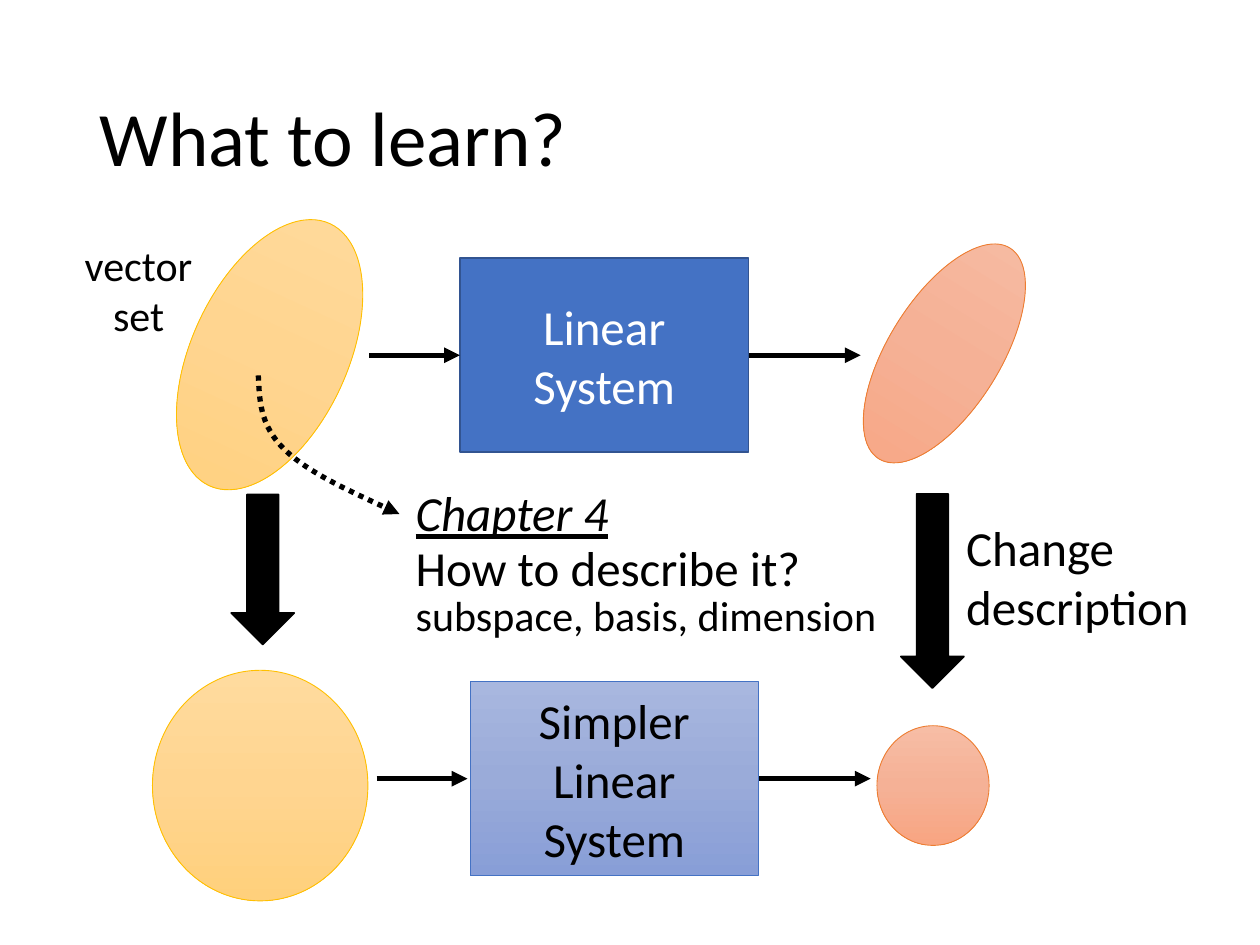
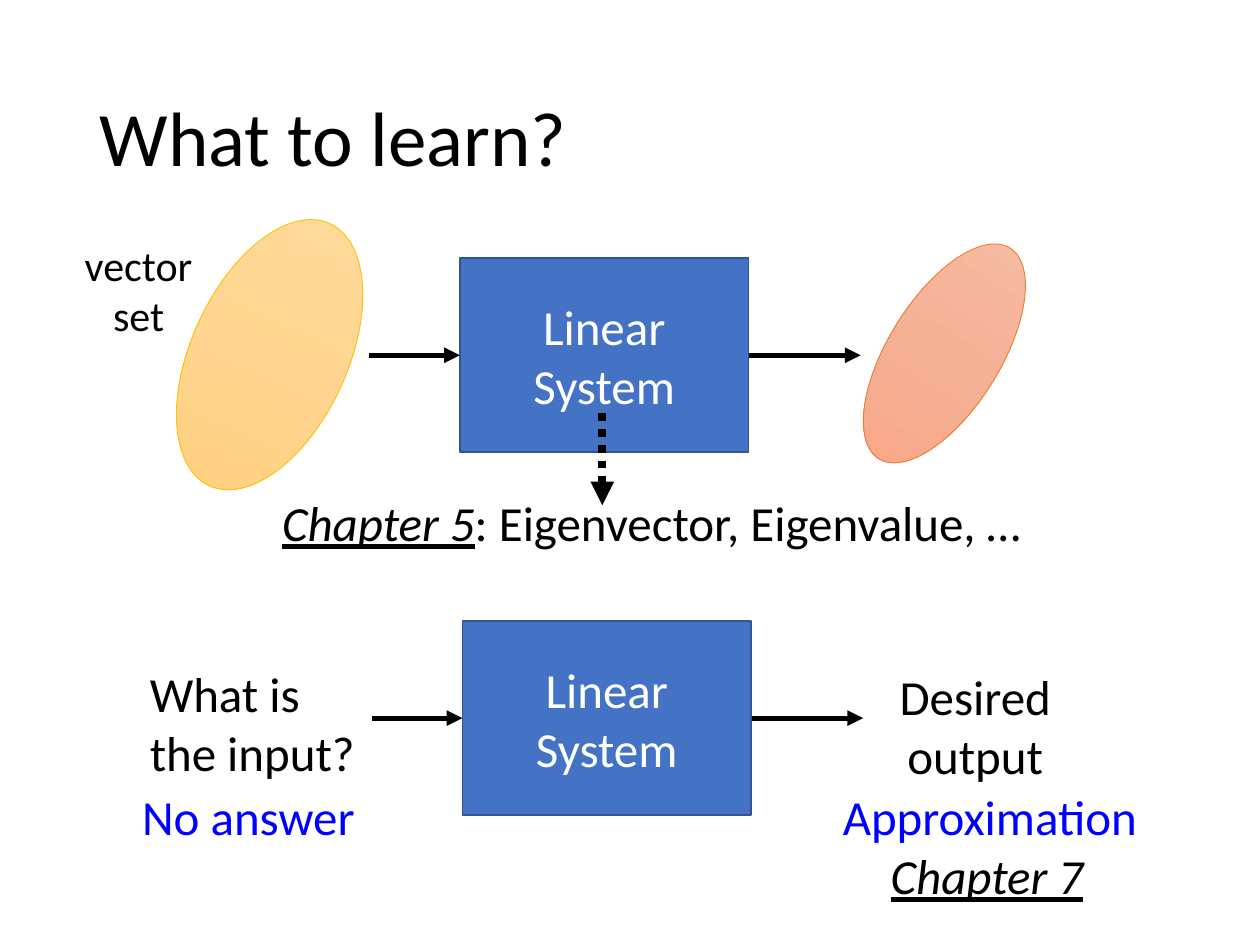
from copy import deepcopy
from dataclasses import dataclass

from lxml.etree import SubElement
from pptx import Presentation
from pptx.dml.color import RGBColor
from pptx.dml.fill import FillFormat
from pptx.dml.line import LineFormat
from pptx.enum.dml import MSO_LINE
from pptx.enum.shapes import MSO_CONNECTOR, MSO_SHAPE
from pptx.enum.text import MSO_ANCHOR, MSO_AUTO_SIZE, PP_ALIGN
from pptx.oxml.ns import qn
from pptx.slide import Slide
from pptx.text.text import Font
from pptx.util import Inches, Pt

FONT = "Calibri"
BLACK = RGBColor(0x00, 0x00, 0x00)
WHITE = RGBColor(0xFF, 0xFF, 0xFF)
ANSWER_BLUE = RGBColor(0x00, 0x00, 0xFF)
SYSTEM_BLUE = RGBColor(0x44, 0x72, 0xC4)
SYSTEM_EDGE = RGBColor(0x32, 0x54, 0x91)
YELLOW_EDGE = RGBColor(0xFF, 0xC0, 0x00)
ORANGE_EDGE = RGBColor(0xED, 0x7D, 0x31)
YELLOW_SHADES = (RGBColor(0xFF, 0xDB, 0x9E), RGBColor(0xFF, 0xD5, 0x90), RGBColor(0xFF, 0xD0, 0x7C))
ORANGE_SHADES = (RGBColor(0xF7, 0xBD, 0xA5), RGBColor(0xF5, 0xB1, 0x96), RGBColor(0xF8, 0xA5, 0x82))
BLUE_SHADES = (RGBColor(0xA8, 0xB7, 0xDF), RGBColor(0x9A, 0xAB, 0xD9), RGBColor(0x88, 0x9E, 0xD7))

BOX_WIDTH, BOX_HEIGHT = 2.29, 1.54
INPUT_LENGTH = 0.72
OUTPUT_START, OUTPUT_END = 2.02, 3.18


@dataclass
class VectorSet:
    """An ellipse that stands for a set of vectors."""
    left: float
    top: float
    width: float
    height: float
    shades: tuple[RGBColor, ...]
    edge: RGBColor
    rotation: float = 0


@dataclass
class System:
    """A system box with an arrow into it and one out of it."""
    left: float
    top: float
    lines: tuple[str, ...] = ("Linear", "System")
    shades: tuple[RGBColor, ...] = (SYSTEM_BLUE,)
    edge: RGBColor = SYSTEM_EDGE
    edge_width: float = 1
    text_color: RGBColor = WHITE
    input_gap: float = 0


@dataclass
class Label:
    """A text box; the chapter reference comes first, in underlined italics."""
    left: float
    top: float
    width: float
    height: float
    text: str = ""
    chapter: str = ""
    size: float = 28
    color: RGBColor = BLACK
    align: PP_ALIGN = PP_ALIGN.LEFT


INPUT_SET = VectorSet(1.52, 1.67, 1.24, 2.29, YELLOW_SHADES, YELLOW_EDGE, 24.7)
OUTPUT_SET = VectorSet(7.05, 1.82, 0.89, 1.97, ORANGE_SHADES, ORANGE_EDGE, 31.9)
SIMPLE_INPUT_SET = VectorSet(1.21, 5.32, 1.71, 1.83, YELLOW_SHADES, YELLOW_EDGE)
SIMPLE_OUTPUT_SET = VectorSet(6.96, 5.76, 0.89, 0.95, ORANGE_SHADES, ORANGE_EDGE)
SIMPLER_SYSTEM = System(3.73, 5.41, ("Simpler", "Linear", "System"), BLUE_SHADES,
                        SYSTEM_BLUE, 0.5, BLACK, 0.02)
DESCRIPTION_LABELS = (
    Label(3.2, 4.22, 3.41, 0.57, "How to describe it?"),
    Label(3.2, 4.63, 3.89, 0.5, "subspace, basis, dimension", size=24),
    Label(3.2, 3.78, 1.8, 0.57, chapter="Chapter 4"),
    Label(7.57, 4.06, 2.23, 1.04, "Change description"),
)
ANSWER_LABELS = (
    Label(2.14, 3.86, 7.01, 0.57, ": Eigenvector, Eigenvalue, …", "Chapter 5"),
    Label(6.97, 6.66, 1.8, 0.57, chapter="Chapter 7"),
    Label(6.65, 5.24, 2.18, 1.04, "Desired output", align=PP_ALIGN.CENTER),
    Label(1.09, 5.22, 1.89, 1.04, "What is the input?"),
    Label(6.59, 6.19, 2.59, 0.57, "Approximation", color=ANSWER_BLUE),
    Label(1.03, 6.19, 2, 0.57, "No answer", color=ANSWER_BLUE),
)


def set_font(font: Font, size: float, color: RGBColor) -> None:
    """Apply the shared typeface with a size and colour."""
    font.name = FONT
    font.size = Pt(size)
    font.color.rgb = color


def set_fill(fill: FillFormat, shades: tuple[RGBColor, ...]) -> None:
    """Fill with one colour, or with three shades from top to bottom."""
    if len(shades) == 1:
        fill.solid()
        fill.fore_color.rgb = shades[0]
        return
    fill.gradient()
    fill.gradient_angle = 270
    first_stop = fill.gradient_stops[0]._gs
    first_stop.addnext(deepcopy(first_stop))
    for index, (stop, shade) in enumerate(zip(fill.gradient_stops, shades)):
        stop.position = index / 2
        stop.color.rgb = shade


def set_line(line: LineFormat, color: RGBColor, width: float) -> None:
    """Give a line its colour and its width in points."""
    line.color.rgb = color
    line.width = Pt(width)


def set_arrow(line: LineFormat, width: float, dotted: bool) -> None:
    """Make a line black, optionally dotted, with an arrowhead at its end."""
    set_line(line, BLACK, width)
    if dotted:
        line.dash_style = MSO_LINE.ROUND_DOT
    SubElement(line._get_or_add_ln(), qn("a:tailEnd"), type="triangle")


def add_arrow(slide: Slide, start: tuple[float, float], end: tuple[float, float],
              width: float = 3, dotted: bool = False) -> None:
    """Draw a straight arrow."""
    points = [Inches(value) for value in (*start, *end)]
    connector = slide.shapes.add_connector(MSO_CONNECTOR.STRAIGHT, *points)
    set_arrow(connector.line, width, dotted)
    SubElement(connector._element.spPr, qn("a:effectLst"))


def add_curved_arrow(slide: Slide, points: list[tuple[float, float]]) -> None:
    """Draw a dotted arrow along Bezier curves: a start, then three points for each curve."""
    start, *others = [(Inches(x), Inches(y)) for x, y in points]
    builder = slide.shapes.build_freeform(*start)
    builder.add_line_segments(others, close=False)
    shape = builder.convert_to_shape()
    outline = next(shape._element.iter(qn("a:path")))
    segments = outline.findall(qn("a:lnTo"))
    for index in range(0, len(segments), 3):
        curve = SubElement(outline, qn("a:cubicBezTo"))
        for segment in segments[index:index + 3]:
            curve.append(segment[0])
            outline.remove(segment)
    shape.fill.background()
    shape.shadow.inherit = False
    set_arrow(shape.line, 3, dotted=True)


def add_block_arrow(slide: Slide, left: float, top: float, length: float) -> None:
    """Draw a thick black arrow that is turned to point down."""
    shape = slide.shapes.add_shape(MSO_SHAPE.RIGHT_ARROW, Inches(left), Inches(top),
                                   Inches(length), Inches(0.5))
    shape.rotation = 90
    shape.shadow.inherit = False
    set_fill(shape.fill, (BLACK,))
    set_line(shape.line, BLACK, 1)


def add_vector_set(slide: Slide, item: VectorSet) -> None:
    """Draw a vector set."""
    shape = slide.shapes.add_shape(MSO_SHAPE.OVAL, Inches(item.left), Inches(item.top),
                                   Inches(item.width), Inches(item.height))
    shape.rotation = item.rotation
    shape.shadow.inherit = False
    set_fill(shape.fill, item.shades)
    set_line(shape.line, item.edge, 0.5)


def add_system(slide: Slide, system: System) -> None:
    """Draw a system box with its input and output arrows."""
    left, middle = system.left, system.top + BOX_HEIGHT / 2
    add_arrow(slide, (left + OUTPUT_START, middle), (left + OUTPUT_END, middle))
    shape = slide.shapes.add_shape(MSO_SHAPE.RECTANGLE, Inches(left), Inches(system.top),
                                   Inches(BOX_WIDTH), Inches(BOX_HEIGHT))
    shape.shadow.inherit = False
    set_fill(shape.fill, system.shades)
    set_line(shape.line, system.edge, system.edge_width)
    frame = shape.text_frame
    frame.text = "\n".join(system.lines)
    frame.vertical_anchor = MSO_ANCHOR.MIDDLE
    for paragraph in frame.paragraphs:
        paragraph.alignment = PP_ALIGN.CENTER
        set_font(paragraph.font, 28, system.text_color)
    input_end = left - system.input_gap
    add_arrow(slide, (input_end - INPUT_LENGTH, middle), (input_end, middle))


def add_label(slide: Slide, label: Label) -> None:
    """Write a label."""
    box = slide.shapes.add_textbox(Inches(label.left), Inches(label.top),
                                   Inches(label.width), Inches(label.height))
    frame = box.text_frame
    frame.word_wrap = True
    frame.auto_size = MSO_AUTO_SIZE.SHAPE_TO_FIT_TEXT
    paragraph = frame.paragraphs[0]
    paragraph.alignment = label.align
    set_font(paragraph.font, label.size, label.color)
    if label.chapter:
        run = paragraph.add_run()
        run.text = label.chapter
        run.font.italic = run.font.underline = True
    if label.text:
        paragraph.add_run().text = label.text


def add_topic_slide(presentation: Presentation) -> Slide:
    """Add a slide with the title and the upper row that all slides share."""
    slide = presentation.slides.add_slide(presentation.slide_layouts.get_by_name("Title Only"))
    title = slide.shapes.title
    title.left, title.top = Inches(0.69), Inches(0.4)
    title.width, title.height = Inches(8.62), Inches(1.45)
    title.text_frame.text = "What to learn?"
    title.text_frame.vertical_anchor = MSO_ANCHOR.MIDDLE
    paragraph = title.text_frame.paragraphs[0]
    paragraph.alignment = PP_ALIGN.LEFT
    paragraph.line_spacing = 0.9
    set_font(paragraph.font, 44, BLACK)
    add_vector_set(slide, OUTPUT_SET)
    add_vector_set(slide, INPUT_SET)
    add_system(slide, System(3.65, 2.05))
    add_label(slide, Label(0.47, 1.85, 1.26, 0.91, "vector set", size=24, align=PP_ALIGN.CENTER))
    return slide


def add_description_slide(presentation: Presentation) -> None:
    """Show how a change of description leads to a simpler system."""
    slide = add_topic_slide(presentation)
    add_curved_arrow(slide, [(2.05, 2.98), (2.06, 3.17), (2.06, 3.37), (2.25, 3.56),
                             (2.43, 3.74), (2.8, 3.91), (3.17, 4.08)])
    add_block_arrow(slide, 6.63, 4.44, 1.54)
    add_block_arrow(slide, 1.49, 4.27, 1.19)
    add_vector_set(slide, SIMPLE_OUTPUT_SET)
    add_vector_set(slide, SIMPLE_INPUT_SET)
    add_system(slide, SIMPLER_SYSTEM)
    for label in DESCRIPTION_LABELS:
        add_label(slide, label)


def add_answer_slide(presentation: Presentation) -> None:
    """Show eigenvectors and the search for an input."""
    slide = add_topic_slide(presentation)
    add_arrow(slide, (4.78, 3.28), (4.78, 4.01), width=4.5, dotted=True)
    add_system(slide, System(3.67, 4.93))
    for label in ANSWER_LABELS:
        add_label(slide, label)


def main() -> None:
    """Build the presentation."""
    presentation = Presentation()
    presentation.slide_width = Inches(10)
    presentation.slide_height = Inches(7.5)
    add_description_slide(presentation)
    add_answer_slide(presentation)
    presentation.save("out.pptx")


main()
